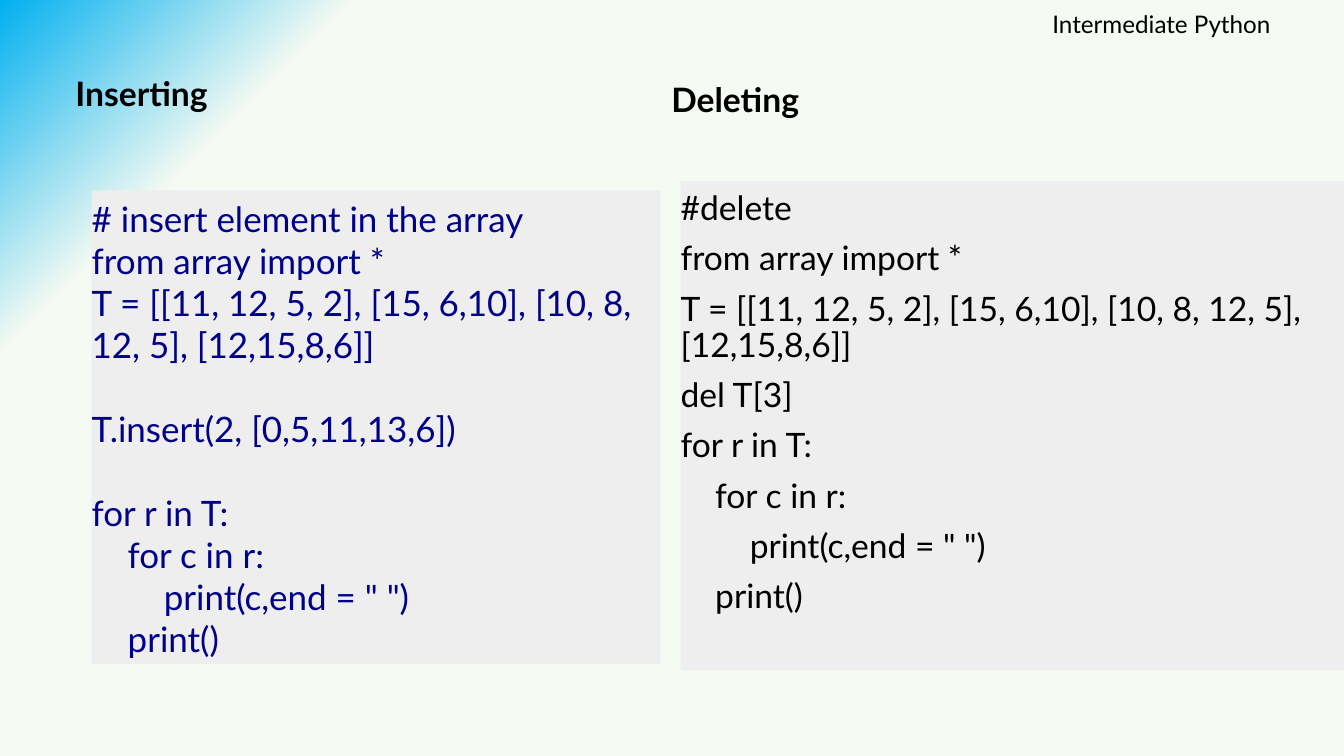
from dataclasses import dataclass

from pptx import Presentation
from pptx import util as u
from pptx.dml.color import RGBColor
from pptx.enum import shapes, text


@dataclass(frozen=True)
class Theme:
    font: str = "Lato"
    black: str = "000000"
    navy: str = "000088"
    panel: str = "EEEEEE"
    sky: str = "00B0F0"
    mist: str = "F5FAF2"
    header: float = 17.3
    title: float = 24
    insert_code: float = 25
    delete_code: float = 24


THEME = Theme()
ARRAY = "T = [[11, 12, 5, 2], [15, 6,10], [10, 8, 12, 5], [12,15,8,6]]"
LOOP = [("for r in T:", 0), ("for c in r:", 1),
        ('print(c,end = " ")', 2), ("print()", 1)]
INSERT_CODE = [("# insert element in the array", 0), ("from array import *", 0),
               (ARRAY, 0), ("T.insert(2, [0,5,11,13,6])", 0), *LOOP]
DELETE_CODE = [("#delete", 0), ("from array import *", 0),
               (ARRAY, 0), ("del T[3]", 0), *LOOP]


def apply(target, formats):
    for name, value in formats.items():
        setattr(target, name, value)


def set_frame(shape, anchor, insets):
    sides = ("margin_left", "margin_top", "margin_right", "margin_bottom")
    apply(shape.text_frame, {
        "word_wrap": True, "vertical_anchor": anchor,
        **{side: u.Inches(inset) for side, inset in zip(sides, insets)}})
    return shape.text_frame


def write(para, words, size, color, bold=False, **formats):
    span = para.add_run()
    span.text = words
    apply(span.font, {"name": THEME.font, "size": u.Pt(size), "bold": bold})
    span.font.color.rgb = RGBColor.from_string(color)
    apply(para, formats)


def paint_background(page):
    fill = page.background.fill
    fill.gradient()
    fill.gradient_angle = 315
    for stop, color, position in zip(fill.gradient_stops,
                                     (THEME.sky, THEME.mist), (0, 0.17)):
        stop.color.rgb = RGBColor.from_string(color)
        stop.position = position


def add_header(page, box, words):
    header = page.shapes.add_textbox(*map(u.Inches, box))
    frame = set_frame(header, text.MSO_ANCHOR.TOP, (0, 0.01, 0, 0))
    write(frame.paragraphs[0], words, THEME.header, THEME.black,
          alignment=text.PP_ALIGN.RIGHT)


def add_title(page, box, words):
    title = page.shapes.add_textbox(*map(u.Inches, box))
    frame = set_frame(title, text.MSO_ANCHOR.BOTTOM, (0.1, 0.05, 0.1, 0.05))
    write(frame.paragraphs[0], words, THEME.title, THEME.black, bold=True,
          line_spacing=0.9)


def add_code(page, box, lines, size, color, anchor, line_spacing, gaps):
    panel = page.shapes.add_shape(shapes.MSO_SHAPE.RECTANGLE, *map(u.Inches, box))
    panel.shadow.inherit = False
    panel.fill.solid()
    panel.fill.fore_color.rgb = RGBColor.from_string(THEME.panel)
    panel.line.fill.background()
    frame = set_frame(panel, anchor, (0, 0.1, 0, 0.07))
    for index, ((words, level), gap) in enumerate(zip(lines, gaps)):
        para = frame.add_paragraph() if index else frame.paragraphs[0]
        write(para, words, size, color, alignment=text.PP_ALIGN.LEFT,
              line_spacing=line_spacing, space_before=u.Pt(gap))
        para._p.get_or_add_pPr().set("marL", str(u.Pt(level * size * 1.03)))


def build_page(deck):
    page = deck.slides.add_slide(deck.slide_layouts[6])
    paint_background(page)
    add_header(page, (7.63, 0.08, 4.97, 0.3), "Intermediate Python")
    add_title(page, (0.65, 0.28, 5.64, 0.9), "Inserting")
    add_code(page, (0.91, 1.89, 5.64, 4.7), INSERT_CODE, THEME.insert_code,
             THEME.navy, text.MSO_ANCHOR.MIDDLE, 1.0, [0, 0, 0, 30, 30, 0, 0, 0])
    add_title(page, (6.56, 0.34, 5.67, 0.9), "Deleting")
    add_code(page, (6.75, 1.8, 6.58, 4.85), DELETE_CODE, THEME.delete_code,
             THEME.black, text.MSO_ANCHOR.TOP, 0.9, [0] + [10] * 7)


def main():
    deck = Presentation()
    apply(deck, {"slide_width": u.Inches(13.33), "slide_height": u.Inches(7.5)})
    build_page(deck)
    deck.save("out.pptx")


if __name__ == "__main__":
    main()
